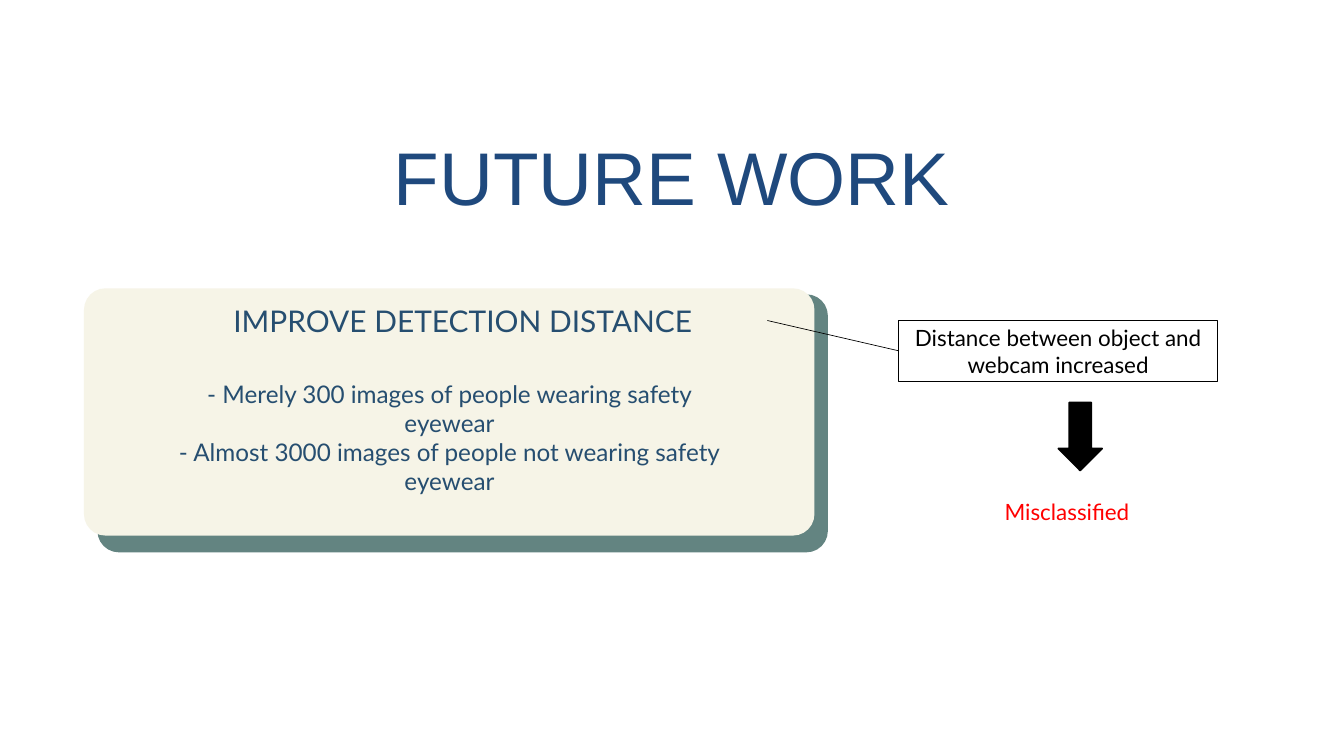
import pptx
import pptx.dml.color
import pptx.enum.shapes
import pptx.enum.text
import pptx.oxml.ns
import pptx.util
from pptx.util import Inches

COLORS = {
    "title": "1F497D",
    "card_text": "264E70",
    "card": "F6F4E7",
    "card_shadow": "638481",
    "ink": "000000",
    "alert": "FF0000",
}
SHAPES = pptx.enum.shapes.MSO_SHAPE
CENTER = pptx.enum.text.PP_ALIGN.CENTER
LEFT = pptx.enum.text.PP_ALIGN.LEFT


def rgb(name):
    return pptx.dml.color.RGBColor.from_string(COLORS[name])


def write(frame, lines, size, color, font="Lato", align=CENTER, spacing=None, inset=0):
    frame.word_wrap = True
    frame.vertical_anchor = pptx.enum.text.MSO_ANCHOR.TOP
    frame.margin_left = frame.margin_right = Inches(inset)
    frame.margin_top = frame.margin_bottom = Inches(inset / 2)
    for index, line in enumerate(lines):
        paragraph = frame.add_paragraph() if index else frame.paragraphs[0]
        paragraph.alignment = align
        if spacing:
            paragraph.line_spacing = pptx.util.Pt(spacing)
        run = paragraph.add_run()
        run.text = line
        run.font.size = pptx.util.Pt(size)
        run.font.name = font
        run.font.color.rgb = rgb(color)


def add_text(slide, box, lines, size, color, **style):
    holder = slide.shapes.add_textbox(*map(Inches, box))
    write(holder.text_frame, lines, size, color, **style)


def add_block(slide, kind, box, fill=None, line=None, weight=0.75):
    block = slide.shapes.add_shape(kind, *map(Inches, box))
    block.shadow.inherit = False
    if fill:
        block.fill.solid()
        block.fill.fore_color.rgb = rgb(fill)
    else:
        block.fill.background()
    if line:
        block.line.color.rgb = rgb(line)
        block.line.width = pptx.util.Pt(weight)
    else:
        block.line.fill.background()
    return block


def place_title(slide, box):
    title = slide.shapes.title
    title.left, title.top, title.width, title.height = map(Inches, box)
    write(title.text_frame, ["FUTURE WORK"], 80, "title", font="Arial", spacing=88)


def add_improvement_card(slide, box):
    left, top, width, height = box
    radius = 0.32
    layers = [
        ("card_shadow", (left + 0.2, top + 0.09, width, height + 0.16)),
        ("card", box),
    ]
    for fill, layer_box in layers:
        layer = add_block(slide, SHAPES.ROUNDED_RECTANGLE, layer_box, fill)
        layer.adjustments[0] = radius / layer_box[3]
    add_text(slide, (left + 1.41, top + 0.21, 8.46, 0.53),
             ["IMPROVE DETECTION DISTANCE"], 32, "card_text", spacing=38.4)
    add_text(slide, (left + 1.41, top + 1.35, 8.06, 1.72),
             ["- Merely 300 images of people wearing safety eyewear",
              "- Almost 3000 images of people not wearing safety eyewear"],
             26, "card_text", spacing=31.2)


def add_consequence(slide, box):
    left, top, width, height = box
    cause = add_block(slide, SHAPES.RECTANGLE, (left, top, width, 0.91), line="ink")
    write(cause.text_frame, ["Distance between object and webcam increased"],
          24, "ink", inset=0.1)
    add_block(slide, SHAPES.DOWN_ARROW, (left + 2.38, top + 1.22, 0.65, 1.01),
              "ink", "ink", 2)
    add_text(slide, (left + 1.48, top + height - 0.5, 2.44, 0.5),
             ["Misclassified"], 24, "alert", align=LEFT, inset=0.1)


def add_link(slide, start, end):
    link = slide.shapes.add_connector(
        pptx.enum.shapes.MSO_CONNECTOR.STRAIGHT, *map(Inches, start + end))
    link.line.color.rgb = rgb("ink")
    link.line.width = pptx.util.Pt(0.75)
    properties = link._element.spPr
    properties.append(properties.makeelement(pptx.oxml.ns.qn("a:effectLst"), {}))


def main():
    deck = pptx.Presentation()
    deck.slide_width, deck.slide_height = Inches(20), Inches(11.25)
    slide = deck.slides.add_slide(deck.slide_layouts[5])
    place_title(slide, (3.14, 2.06, 13.72, 1.27))
    add_improvement_card(slide, (1.25, 4.29, 10.87, 3.68))
    add_consequence(slide, (13.37, 4.77, 4.75, 3.09))
    add_link(slide, (11.42, 4.77), (13.37, 5.22))
    deck.save("out.pptx")


if __name__ == "__main__":
    main()
